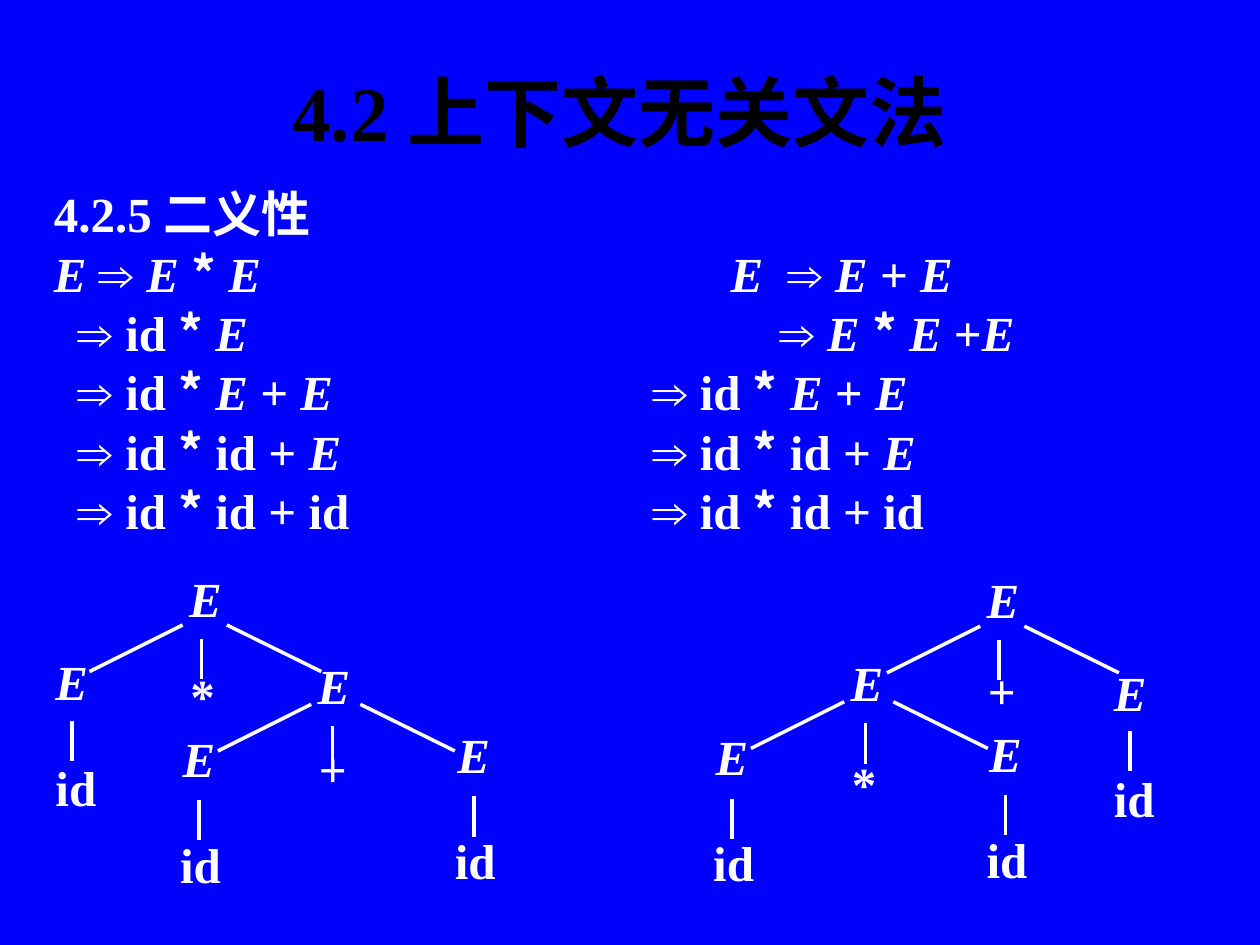
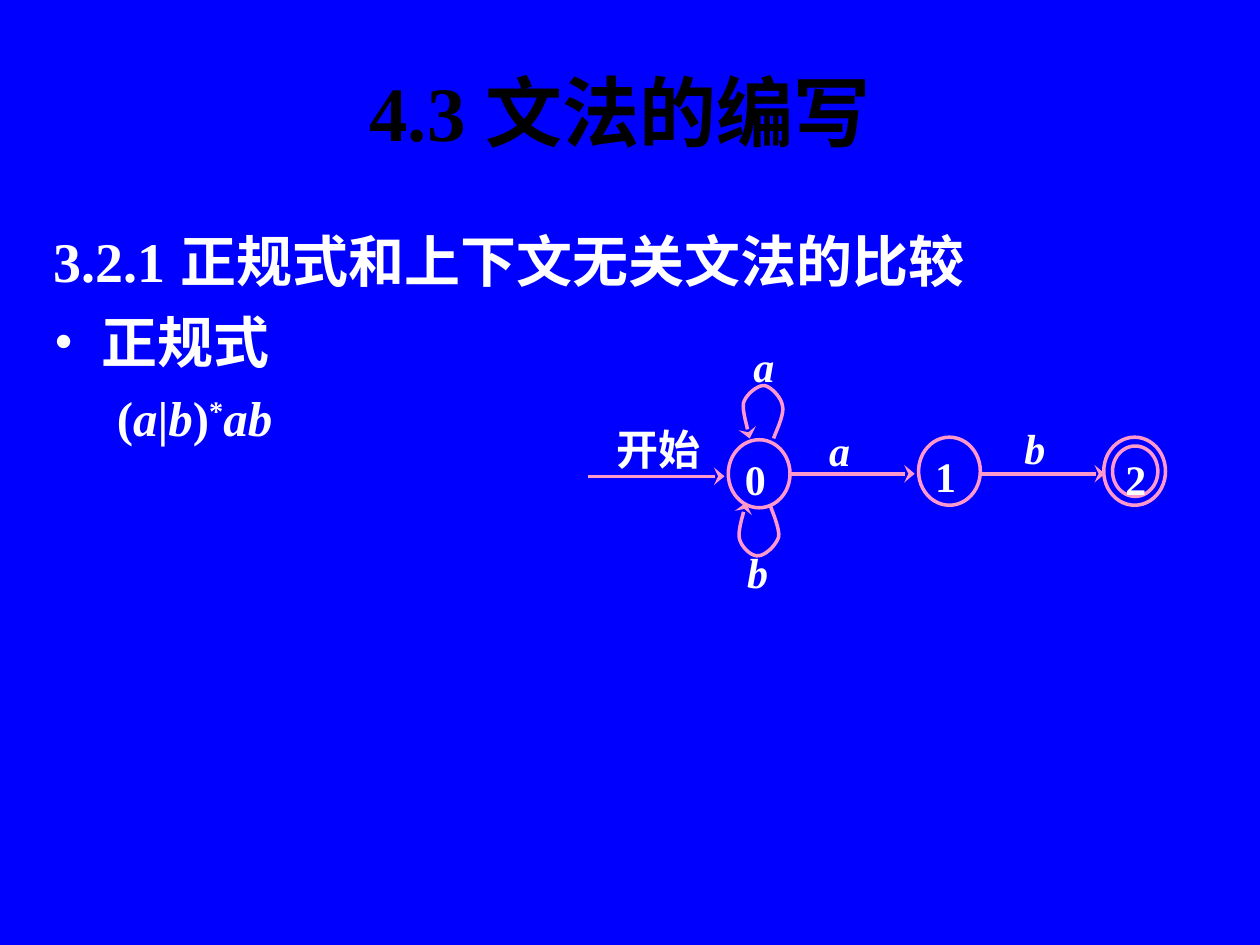
import itertools

import pptx
import pptx.dml.color
import pptx.enum.shapes
import pptx.enum.text
import pptx.oxml
import pptx.oxml.ns
import pptx.util
from pptx.util import Inches

COLORS = {"back": "0000FF", "title": "000000", "text": "FFFFFF", "graph": "FF99CC"}
SERIF, SANS, ARROW = "Times New Roman", "Noto Sans CJK SC", "Arial"
TREE_PAD = (0.02, 0.01, 0.02, 0.01)
EDGE_PAD = (0.06, 0.03, 0.06, 0.03)
NODE_PAD = (0.06, 0.03, 0.02, 0.05)


def color(name):
    return pptx.dml.color.RGBColor.from_string(COLORS[name])


def add_tag(parent, name, **attrs):
    tag = pptx.oxml.parse_xml(f'<a:{name} {pptx.oxml.ns.nsdecls("a")}/>')
    for key, value in attrs.items():
        tag.set(key, str(value))
    parent.append(tag)


def write(para, text, size=28, font=SERIF, ink="text", italic=False, raised=False):
    """Add one run to a paragraph."""
    run = para.add_run()
    run.text = text
    run.font.size = pptx.util.Pt(size)
    run.font.name = font
    run.font.bold = True
    run.font.italic = italic
    run.font.color.rgb = color(ink)
    props = run._r.get_or_add_rPr()
    add_tag(props, "ea", typeface=SANS if font == SERIF else font)
    if raised:
        props.set("baseline", "30000")


def set_frame(frame, pad=(0.1, 0.05, 0.1, 0.05), anchor="TOP"):
    frame.word_wrap = True
    frame.vertical_anchor = getattr(pptx.enum.text.MSO_ANCHOR, anchor)
    (frame.margin_left, frame.margin_top,
     frame.margin_right, frame.margin_bottom) = map(Inches, pad)
    return frame


def add_box(slide, x, y, w, h, **form):
    box = slide.shapes.add_textbox(Inches(x), Inches(y), Inches(w), Inches(h))
    return set_frame(box.text_frame, **form)


def add_label(slide, text, x, y, w=0.51, h=0.55, pad=TREE_PAD, **form):
    frame = add_box(slide, x, y, w, h, pad=pad)
    write(frame.paragraphs[0], text, **form)


def add_para(frame, left=0.38, first=-0.38, before=0, lines=None, bullet=None):
    """Start a paragraph; the first one uses the paragraph the frame has."""
    para = frame.paragraphs[0]
    if para.runs:
        para = frame.add_paragraph()
        para.space_before = pptx.util.Pt(before)
    if lines:
        para.line_spacing = lines
    props = para._p.get_or_add_pPr()
    props.set("marL", str(Inches(left)))
    props.set("indent", str(Inches(first)))
    if bullet:
        add_tag(props, "buFont", typeface=SERIF)
        add_tag(props, "buChar", char=bullet)
    return para


def style_line(shape, ink, head=False):
    shape.line.color.rgb = color(ink)
    shape.line.width = pptx.util.Pt(2)
    if head:
        add_tag(shape.line._get_or_add_ln(), "tailEnd", type="stealth", w="lg")


def add_line(slide, x1, y1, x2, y2, ink="text", head=False):
    line = slide.shapes.add_connector(
        pptx.enum.shapes.MSO_CONNECTOR.STRAIGHT,
        Inches(x1), Inches(y1), Inches(x2), Inches(y2))
    style_line(line, ink, head)
    add_tag(line._element.spPr, "effectLst")


def add_slide(deck, *parts):
    """Add a slide whose title is made of (text, font) parts."""
    slide = deck.slides.add_slide(deck.slide_layouts[5])
    title = slide.shapes.title
    title.left, title.top = Inches(0.67), Inches(0.25)
    title.width, title.height = Inches(8.5), Inches(1.25)
    frame = set_frame(title.text_frame, anchor="MIDDLE")
    para = frame.paragraphs[0]
    para.alignment = pptx.enum.text.PP_ALIGN.CENTER
    for text, font in parts:
        write(para, text, size=44, font=font, ink="title")
    return slide


def sign_style(sign):
    """Give font and slant of one sign in a derivation."""
    return {"⇒": ARROW, "*": SANS}.get(sign, SERIF), sign == "E"


def add_step(frame, text, left, first=0):
    """Add one line of a derivation."""
    para = add_para(frame, left=left, first=first, before=7, lines=0.8)
    for (font, italic), signs in itertools.groupby(text, sign_style):
        write(para, "".join(signs), font=font, italic=italic)


def add_fork(slide, x, y, sign, drop, arm, stem):
    """Draw an E with two arms and a stem down to its operator."""
    add_label(slide, "E", x, y, italic=True)
    reach, fall = arm
    add_line(slide, x - 0.03, y + fall, x - 0.77, y + fall + 0.37)
    add_line(slide, x + reach, y + fall, x + reach + 0.75, y + fall + 0.37)
    add_line(slide, x + stem, y + 0.57, x + stem, y + 0.89)
    add_label(slide, sign, x + 0.01, y + drop)


def add_leaf(slide, x, y, drop=0.58, shift=-0.02):
    """Draw an E with a stem down to its id."""
    add_label(slide, "E", x, y, italic=True)
    add_line(slide, x + 0.15, y + drop, x + 0.15, y + drop + 0.32)
    add_label(slide, "id", x + shift, y + 0.84)


def add_state(slide, x, y, w=0.49, h=0.54, text="", pad=NODE_PAD):
    state = slide.shapes.add_shape(
        pptx.enum.shapes.MSO_SHAPE.OVAL, Inches(x), Inches(y), Inches(w), Inches(h))
    state.shadow.inherit = False
    state.fill.background()
    style_line(state, "graph")
    if text:
        para = set_frame(state.text_frame, pad=pad).paragraphs[0]
        para.alignment = pptx.enum.text.PP_ALIGN.LEFT
        write(para, text, size=24)


def trace(knots, steps=10):
    """Give points along joined cubic curves."""
    for k in range(0, len(knots) - 1, 3):
        for step in range(1, steps + 1):
            t = step / steps
            mix = ((1 - t) ** 3, 3 * t * (1 - t) ** 2, 3 * t * t * (1 - t), t ** 3)
            yield tuple(sum(m * p[axis] for m, p in zip(mix, knots[k:k + 4]))
                        for axis in (0, 1))


def add_loop(slide, knots):
    start, *points = [(Inches(x), Inches(y)) for x, y in (knots[0], *trace(knots))]
    pen = slide.shapes.build_freeform(*start)
    pen.add_line_segments(points, close=False)
    loop = pen.convert_to_shape()
    loop.shadow.inherit = False
    loop.fill.background()
    style_line(loop, "graph", head=True)


def build_trees(deck):
    slide = add_slide(deck, ("4.2 上下文无关文法", SERIF))
    frame = add_box(slide, 0.33, 1.5, 4.7, 3.08)
    write(add_para(frame, lines=0.8), "4.2.5 二义性")
    add_step(frame, "E ⇒ E * E", 0.38, -0.38)
    for text in ("⇒ id * E", "⇒ id * E + E", "⇒ id * id + E", "⇒ id * id + id"):
        add_step(frame, text, 0.38, -0.19)

    frame = add_box(slide, 5.08, 1.97, 4.33, 2.61)
    add_step(frame, "E  ⇒ E + E", 0.62)
    add_step(frame, "⇒ E * E +E", 1.01)
    for text in ("⇒ id * E + E", "⇒ id * id + E", "⇒ id * id + id"):
        add_step(frame, text, 0)

    root = {"arm": (0.32, 0.46), "stem": 0.12}
    inner = {"arm": (0.36, 0.4), "stem": 0.14}
    add_fork(slide, 1.48, 4.5, "*", 0.77, **root)
    add_fork(slide, 2.5, 5.19, "+", 0.66, **inner)
    add_fork(slide, 7.81, 4.51, "+", 0.72, **root)
    add_fork(slide, 6.73, 5.17, "*", 0.8, **inner)
    add_leaf(slide, 0.42, 5.16, drop=0.56, shift=0)
    add_leaf(slide, 8.82, 5.25, drop=0.55, shift=0)
    for x, y in ((1.43, 5.77), (3.61, 5.74), (5.66, 5.76), (7.83, 5.73)):
        add_leaf(slide, x, y)


def build_graph(deck):
    slide = add_slide(deck, ("4.3 ", SERIF), ("文法的编写", SANS))
    frame = add_box(slide, 0.33, 1.75, 9.08, 5)
    write(add_para(frame), "3.2.1 正规式和上下文无关文法的比较", size=32)
    write(add_para(frame, before=8, bullet="•"), "正规式", size=32, font=SANS)
    para = add_para(frame, left=0.81, first=-0.31, before=7)
    for part in ("(", "a", "|", "b", ")", "*", "ab"):
        write(para, part, italic=part.isalpha(), raised=part == "*")

    add_state(slide, 5.78, 3.49, text="0")
    add_state(slide, 7.29, 3.47, text="1")
    add_state(slide, 8.76, 3.47)
    add_state(slide, 8.83, 3.54, 0.36, 0.4, text="2", pad=(0.05, 0, 0.01, 0))
    for x1, x2, y in ((4.67, 5.75, 3.78), (6.28, 7.26, 3.76), (7.79, 8.77, 3.76)):
        add_line(slide, x1, y, x2, y, ink="graph", head=True)
    add_loop(slide, [
        (6.14, 3.48), (6.15, 3.44), (6.23, 3.29), (6.21, 3.22), (6.2, 3.15),
        (6.11, 3.06), (6.06, 3.06), (6.01, 3.06), (5.92, 3.13), (5.9, 3.2),
        (5.89, 3.27), (5.94, 3.42), (5.95, 3.48)])
    add_loop(slide, [
        (6.11, 4), (6.12, 4.04), (6.19, 4.19), (6.18, 4.26), (6.16, 4.33),
        (6.07, 4.41), (6.02, 4.41), (5.97, 4.42), (5.89, 4.35), (5.87, 4.28),
        (5.85, 4.21), (5.91, 4.05), (5.92, 3.99)])
    add_label(slide, "开始", 4.83, 3.33, 0.79, 0.51, pad=EDGE_PAD, size=24)
    for text, x, y in (("a", 6.52, 3.34), ("a", 5.92, 2.67),
                       ("b", 5.87, 4.31), ("b", 8.07, 3.32)):
        add_label(slide, text, x, y, 0.39, 0.44, pad=EDGE_PAD, size=24, italic=True)


def main():
    deck = pptx.Presentation()
    deck.slide_width, deck.slide_height = Inches(10), Inches(7.5)
    fill = deck.slide_master.background.fill
    fill.solid()
    fill.fore_color.rgb = color("back")
    build_trees(deck)
    build_graph(deck)
    deck.save("out.pptx")


if __name__ == "__main__":
    main()
